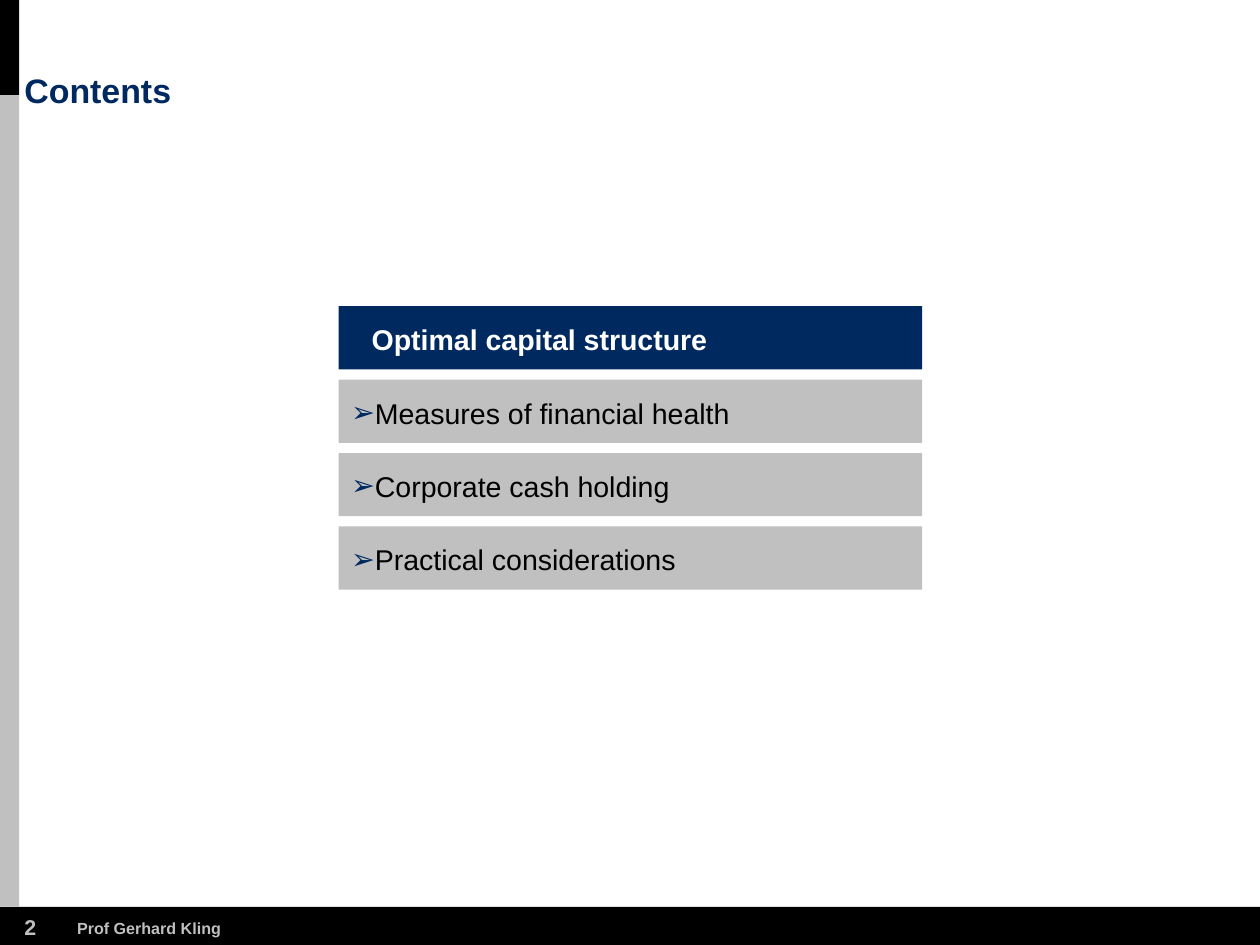
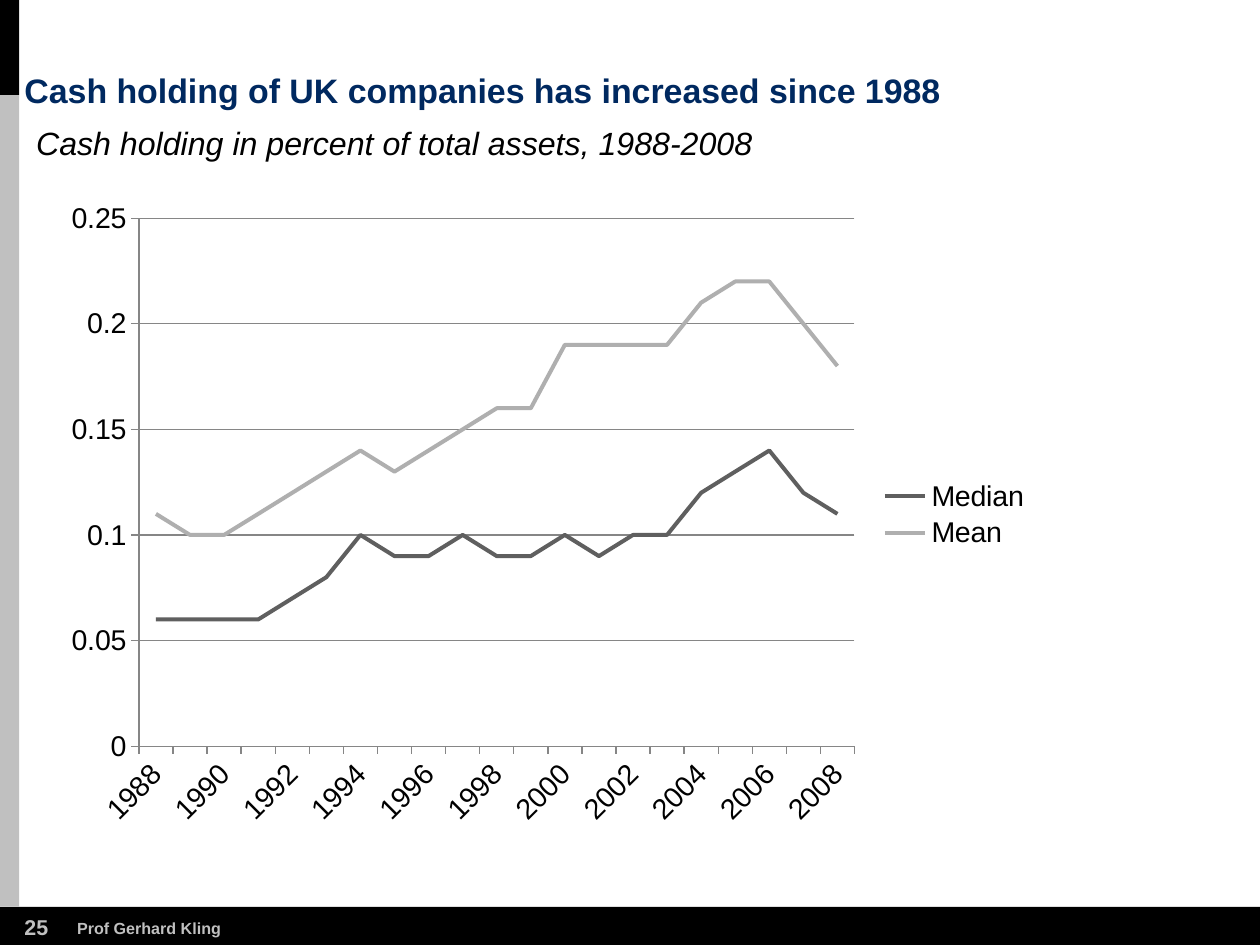
from dataclasses import dataclass

from lxml import etree
from pptx import Presentation
from pptx.chart.data import CategoryChartData
from pptx.dml.color import RGBColor
from pptx.enum.chart import XL_CHART_TYPE, XL_LEGEND_POSITION, XL_TICK_MARK
from pptx.enum.shapes import MSO_SHAPE
from pptx.enum.text import MSO_ANCHOR, MSO_AUTO_SIZE, PP_ALIGN
from pptx.oxml.ns import qn
from pptx.util import Pt

RECTANGLE = MSO_SHAPE.RECTANGLE
LINE_CHART = XL_CHART_TYPE.LINE
LEGEND_RIGHT = XL_LEGEND_POSITION.RIGHT
TICK_OUTSIDE = XL_TICK_MARK.OUTSIDE
TOP, MIDDLE, BOTTOM = MSO_ANCHOR.TOP, MSO_ANCHOR.MIDDLE, MSO_ANCHOR.BOTTOM
LEFT = PP_ALIGN.LEFT
NO_AUTOFIT = MSO_AUTO_SIZE.NONE
TITLE_ONLY = 5

PAGE_WIDTH, PAGE_HEIGHT = 705.6, 529.2
RAIL_WIDTH, RAIL_SPLIT = 10.7, 53.2
FOOTER_TOP = 507.8
TEXT_LEFT = 13.7


@dataclass(frozen=True)
class Theme:
    font: str = "Arial"
    navy: RGBColor = RGBColor(0x00, 0x29, 0x60)
    silver: RGBColor = RGBColor(0xC0, 0xC0, 0xC0)
    black: RGBColor = RGBColor(0x00, 0x00, 0x00)
    white: RGBColor = RGBColor(0xFF, 0xFF, 0xFF)
    grid: RGBColor = RGBColor(0x86, 0x86, 0x86)
    median: RGBColor = RGBColor(0x5F, 0x5F, 0x5F)
    mean: RGBColor = RGBColor(0xAF, 0xAF, 0xAF)
    title_size: float = 19
    subtitle_size: float = 18
    body_size: float = 16
    number_size: float = 12
    footer_size: float = 9


THEME = Theme()


def style_font(font, size, color, bold=False, italic=False):
    font.name = THEME.font
    font.size = Pt(size)
    font.color.rgb = color
    font.bold = bold
    font.italic = italic


def write_text(frame, text, size, color, anchor=TOP, wrap=True, **emphasis):
    """Fill a text frame without margins with one left-aligned paragraph."""
    frame.margin_left = frame.margin_right = Pt(0)
    frame.margin_top = frame.margin_bottom = Pt(0)
    frame.auto_size = NO_AUTOFIT
    frame.word_wrap = wrap
    frame.vertical_anchor = anchor
    para = frame.paragraphs[0]
    para.alignment = LEFT
    span = para.add_run()
    span.text = text
    style_font(span.font, size, color, **emphasis)
    return para


def add_bar(slide, left, top, width, height, color):
    bar = slide.shapes.add_shape(RECTANGLE, Pt(left), Pt(top), Pt(width), Pt(height))
    bar.shadow.inherit = False
    bar.fill.solid()
    bar.fill.fore_color.rgb = color
    bar.line.fill.background()
    return bar


def add_label(slide, left, top, width, height, text, size, color, **options):
    box = slide.shapes.add_textbox(Pt(left), Pt(top), Pt(width), Pt(height))
    write_text(box.text_frame, text, size, color, **options)


def add_page(deck, title, number):
    """Add a slide with the shared bands, footer and title."""
    slide = deck.slides.add_slide(deck.slide_layouts[TITLE_ONLY])
    add_bar(slide, 0, FOOTER_TOP, PAGE_WIDTH, PAGE_HEIGHT - FOOTER_TOP, THEME.black)
    add_bar(slide, 0, 0, RAIL_WIDTH, RAIL_SPLIT, THEME.black)
    add_bar(slide, 0, RAIL_SPLIT, RAIL_WIDTH, FOOTER_TOP - RAIL_SPLIT, THEME.silver)
    add_label(slide, TEXT_LEFT, 512, 14.4, 14.4, number, THEME.number_size,
              THEME.silver, wrap=False, bold=True)
    add_label(slide, 43.2, 514.4, 81.4, 10.8, "Prof Gerhard Kling", THEME.footer_size,
              THEME.silver, wrap=False, bold=True)
    heading = slide.shapes.title
    heading.left, heading.top = Pt(TEXT_LEFT), Pt(41.8)
    heading.width, heading.height = Pt(558.7), Pt(20.5)
    para = write_text(heading.text_frame, title, THEME.title_size, THEME.navy,
                      anchor=BOTTOM, bold=True)
    para.line_spacing = 0.9
    return slide


def set_bullet(para, character, indent=11.5):
    """Hang the paragraph by the indent; without a character only indent it."""
    properties = para._p.get_or_add_pPr()
    properties.set("marL", str(Pt(indent)))
    properties.set("indent", str(-Pt(indent) if character else 0))
    if not character:
        etree.SubElement(properties, qn("a:buNone"))
        return
    color = etree.SubElement(properties, qn("a:buClr"))
    etree.SubElement(color, qn("a:srgbClr"), val=str(THEME.navy))
    etree.SubElement(properties, qn("a:buFont"), typeface=THEME.font)
    etree.SubElement(properties, qn("a:buChar"), char=character)


def add_agenda(slide, topics, current):
    """Stack one bar per topic and highlight the current one."""
    left, top, width, height, pitch = 189.6, 171.5, 326.9, 35.4, 41.1
    for index, topic in enumerate(topics):
        active = index == current
        bar = add_bar(slide, left, top + index * pitch, width, height,
                      THEME.navy if active else THEME.silver)
        para = write_text(bar.text_frame, topic, THEME.body_size,
                          THEME.white if active else THEME.black,
                          anchor=MIDDLE, wrap=False, bold=active)
        bar.text_frame.margin_left = Pt(7.2)
        bar.text_frame.margin_top = Pt(1.5)
        set_bullet(para, None if active else "➢")


def place_plot(chart, **shares):
    """Fix the inner plot area as shares of the chart's size."""
    plot_area = chart.element.xpath("c:chart/c:plotArea")[0]
    for old in plot_area.findall(qn("c:layout")):
        plot_area.remove(old)
    layout = etree.Element(qn("c:layout"))
    manual = etree.SubElement(layout, qn("c:manualLayout"))
    settings = {"layoutTarget": "inner", "xMode": "edge", "yMode": "edge", **shares}
    for name, value in settings.items():
        etree.SubElement(manual, qn("c:" + name), val=str(value))
    plot_area.insert(0, layout)


def slant_category_labels(chart, step):
    """Turn the category labels by 45 degrees and show every step-th one."""
    axis = chart.element.xpath(".//c:catAx")[0]
    axis.xpath("c:txPr/a:bodyPr")[0].set("rot", "-2700000")
    skip = etree.Element(qn("c:tickLblSkip"), val=str(step))
    axis.find(qn("c:noMultiLvlLbl")).addprevious(skip)


def style_axis(axis):
    axis.major_tick_mark = TICK_OUTSIDE
    axis.format.line.color.rgb = THEME.grid
    axis.format.line.width = Pt(0.75)
    style_font(axis.tick_labels.font, THEME.body_size, THEME.black)


def add_line_chart(slide, years, lines):
    """Draw lines given as (name, values, colour)."""
    data = CategoryChartData()
    data.categories = [str(year) for year in years]
    for name, values, _ in lines:
        data.add_series(name, values)
    chart = slide.shapes.add_chart(LINE_CHART, Pt(29.5), Pt(106.6), Pt(555.1),
                                   Pt(362.9), data).chart
    style_font(chart.font, THEME.body_size, THEME.black)
    chart.has_title = False
    chart.has_legend = True
    chart.legend.position = LEGEND_RIGHT
    chart.legend.include_in_layout = False
    style_font(chart.legend.font, THEME.body_size, THEME.black)
    chart.plots[0].vary_by_categories = False
    for series, (_, _, color) in zip(chart.plots[0].series, lines):
        series.smooth = False
        series.format.line.color.rgb = color
        series.format.line.width = Pt(2.25)

    style_axis(chart.category_axis)
    scale = chart.value_axis
    style_axis(scale)
    scale.minimum_scale, scale.maximum_scale, scale.major_unit = 0, 0.25, 0.05
    scale.has_major_gridlines = True
    scale.major_gridlines.format.line.color.rgb = THEME.grid
    scale.major_gridlines.format.line.width = Pt(0.75)
    slant_category_labels(chart, 2)
    place_plot(chart, x=0.087, y=0.043, w=0.722, h=0.815)


def main():
    deck = Presentation()
    deck.slide_width, deck.slide_height = Pt(PAGE_WIDTH), Pt(PAGE_HEIGHT)

    contents = add_page(deck, "Contents", "2")
    add_agenda(contents, ["Optimal capital structure", "Measures of financial health",
                          "Corporate cash holding", "Practical considerations"], current=0)

    cash = add_page(deck, "Cash holding of UK companies has increased since 1988", "25")
    add_label(cash, 20.2, 69.1, 483, 21.6,
              "Cash holding in percent of total assets, 1988-2008",
              THEME.subtitle_size, THEME.black, italic=True)
    median = [0.06, 0.06, 0.06, 0.06, 0.07, 0.08, 0.1, 0.09, 0.09, 0.1, 0.09,
              0.09, 0.1, 0.09, 0.1, 0.1, 0.12, 0.13, 0.14, 0.12, 0.11]
    mean = [0.11, 0.1, 0.1, 0.11, 0.12, 0.13, 0.14, 0.13, 0.14, 0.15, 0.16,
            0.16, 0.19, 0.19, 0.19, 0.19, 0.21, 0.22, 0.22, 0.2, 0.18]
    add_line_chart(cash, range(1988, 2009), [("Median", median, THEME.median),
                                             ("Mean", mean, THEME.mean)])
    deck.save("out.pptx")


if __name__ == "__main__":
    main()
